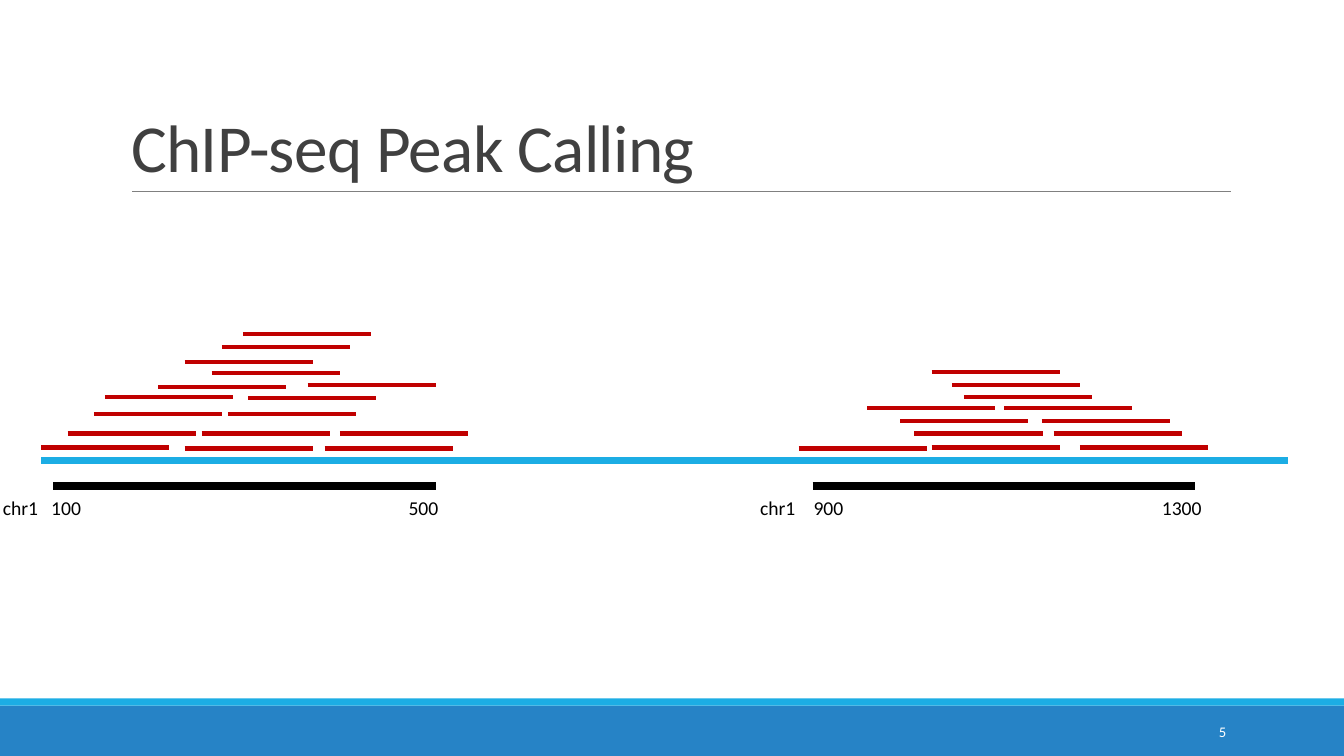
from lxml.etree import SubElement
from pptx import Presentation
from pptx.dml.color import RGBColor
from pptx.enum.shapes import MSO_CONNECTOR as Connector, MSO_SHAPE as Shape
from pptx.enum.text import MSO_ANCHOR as Anchor, MSO_AUTO_SIZE as AutoSize, PP_ALIGN as Align
from pptx.oxml.ns import qn
from pptx.util import Emu, Pt

WIDTH, HEIGHT = 1333, 750
READ_LENGTH = 127
AXIS_Y, REGION_Y, LABEL_Y = 457, 482, 487

# Each peak maps a height on the slide to the left ends of the reads there.
LEFT_PEAK = {
    331: [241], 344: [220], 359: [183], 370: [210], 382: [305], 384: [157],
    394: [104], 395: [246], 411: [93, 226], 430: [67, 200, 337],
    444: [41], 445: [183, 322],
}
RIGHT_PEAK = {
    369: [924], 382: [944], 394: [956], 405: [860, 996], 418: [893, 1033],
    430: [907, 1045], 444: [924, 1071], 445: [792],
}


def px(length):
    """Turn px (100 to the inch) into EMU."""
    return Emu(length * 9144)


def color(hex_string):
    return RGBColor.from_string(hex_string)


class SlideBuilder:
    font = "Calibri"
    blue, cyan, red = "2683C6", "1CADE4", "C00000"
    black, gray, dark, white = "000000", "808080", "404040", "FFFFFF"

    def __init__(self, slide):
        self.slide = slide
        self.shapes = slide.shapes

    def band(self, top, height, fill):
        shape = self.shapes.add_shape(Shape.RECTANGLE, 0, px(top), px(WIDTH), px(height))
        shape.shadow.inherit = False
        shape.fill.solid()
        shape.fill.fore_color.rgb = color(fill)
        shape.line.fill.background()

    def bar(self, left, right, y, stroke, points):
        """Draw a horizontal line."""
        line = self.shapes.add_connector(Connector.STRAIGHT, px(left), px(y), px(right), px(y))
        line.line.color.rgb = color(stroke)
        line.line.width = Pt(points)
        SubElement(line._element.spPr, qn("a:effectLst"))

    def run(self, paragraph, text, size, text_color):
        run = paragraph.add_run()
        run.text = text
        run.font.name = self.font
        run.font.size = Pt(size)
        run.font.color.rgb = color(text_color)
        return run

    def title(self, text, left, top, width, height):
        shape = self.shapes.title
        shape.left, shape.top, shape.width, shape.height = map(px, (left, top, width, height))
        frame = shape.text_frame
        frame.auto_size = AutoSize.NONE
        frame.vertical_anchor = Anchor.BOTTOM
        paragraph = frame.paragraphs[0]
        paragraph.alignment = Align.LEFT
        paragraph.line_spacing = 0.85
        run = self.run(paragraph, text, 48, self.dark)
        run.font._element.set("spc", "-50")

    def text(self, text, left, top, width, height, size, text_color,
             align=Align.LEFT, anchor=Anchor.TOP, tabs=()):
        """Add a text box; tabs holds pairs of position and alignment."""
        box = self.shapes.add_textbox(px(left), px(top), px(width), px(height))
        frame = box.text_frame
        frame.word_wrap = True
        frame.vertical_anchor = anchor
        paragraph = frame.paragraphs[0]
        paragraph.alignment = align
        self.run(paragraph, text, size, text_color)
        if tabs:
            tab_list = SubElement(paragraph._element.get_or_add_pPr(), qn("a:tabLst"))
            for position, side in tabs:
                SubElement(tab_list, qn("a:tab"), pos=str(px(position)), algn=side)

    def reads(self, peak):
        for y, lefts in peak.items():
            for left in lefts:
                self.bar(left, left + READ_LENGTH, y, self.red, 3)

    def region(self, left, right, label, label_left, label_width, tabs):
        """Mark a called region with its chromosome, start and end."""
        self.bar(left, right, REGION_Y, self.black, 6)
        self.text("\t".join(label), label_left, LABEL_Y, label_width, 34, 14, self.black,
                  tabs=tabs)


def main():
    presentation = Presentation()
    presentation.slide_width, presentation.slide_height = px(WIDTH), px(HEIGHT)
    builder = SlideBuilder(presentation.slides.add_slide(presentation.slide_layouts[5]))

    builder.band(700, 50, builder.blue)
    builder.band(693, 7, builder.cyan)
    builder.bar(131, 1221, 190, builder.gray, 0.5)
    builder.title("ChIP-seq Peak Calling", 120, 31, 1100, 159)
    builder.text("5", 1083, 706, 143, 40, 10.5, builder.white, Align.RIGHT, Anchor.MIDDLE)

    builder.bar(41, 1277, AXIS_Y, builder.cyan, 4.5)
    for peak in (LEFT_PEAK, RIGHT_PEAK):
        builder.reads(peak)
    builder.region(53, 432, ("chr1", "100", "500"), -7, 520, [(48, "l"), (432, "r")])
    builder.region(806, 1185, ("chr1", "900", "1300"), 744, 575, [(53, "l"), (438, "r")])

    presentation.save("out.pptx")


if __name__ == "__main__":
    main()
